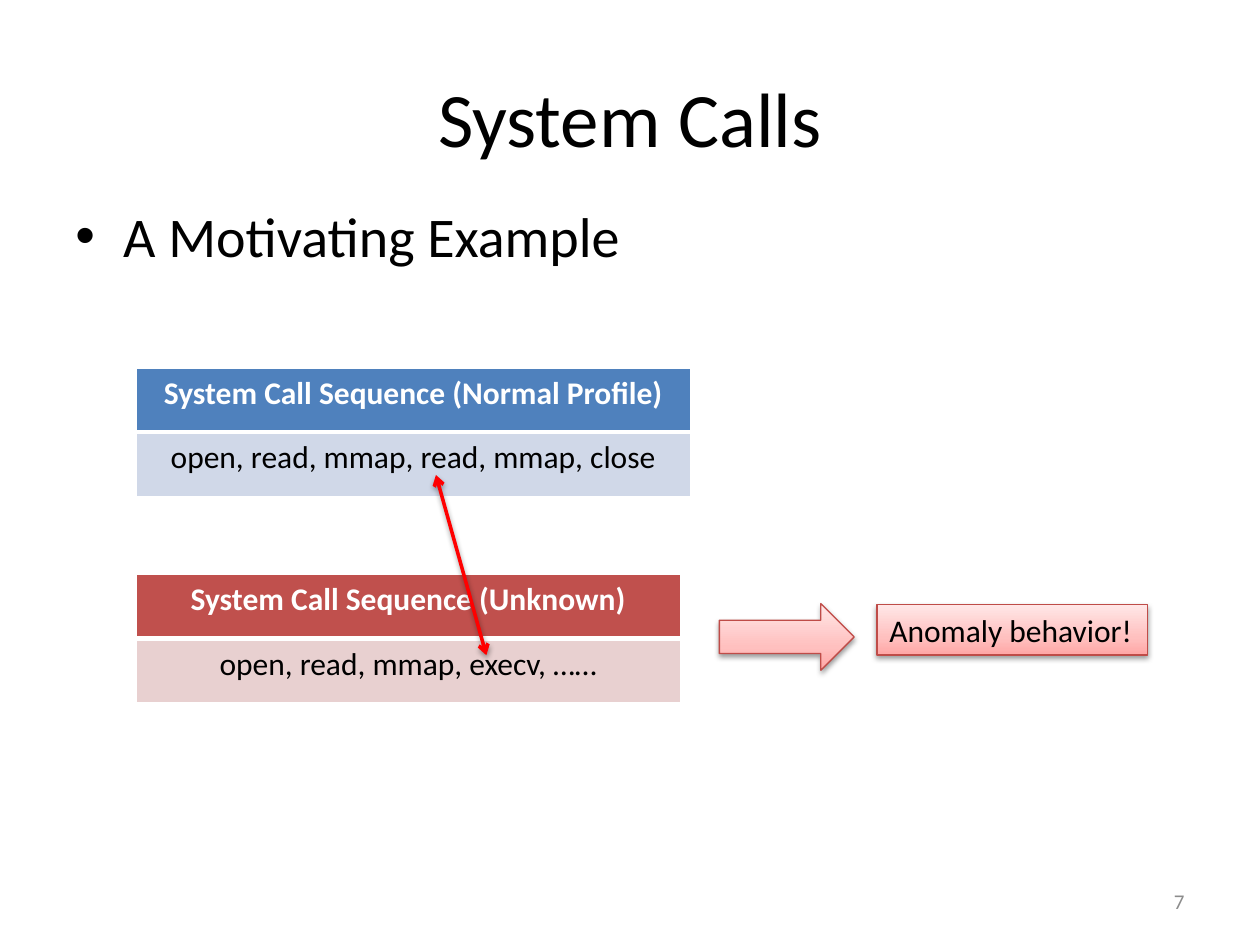
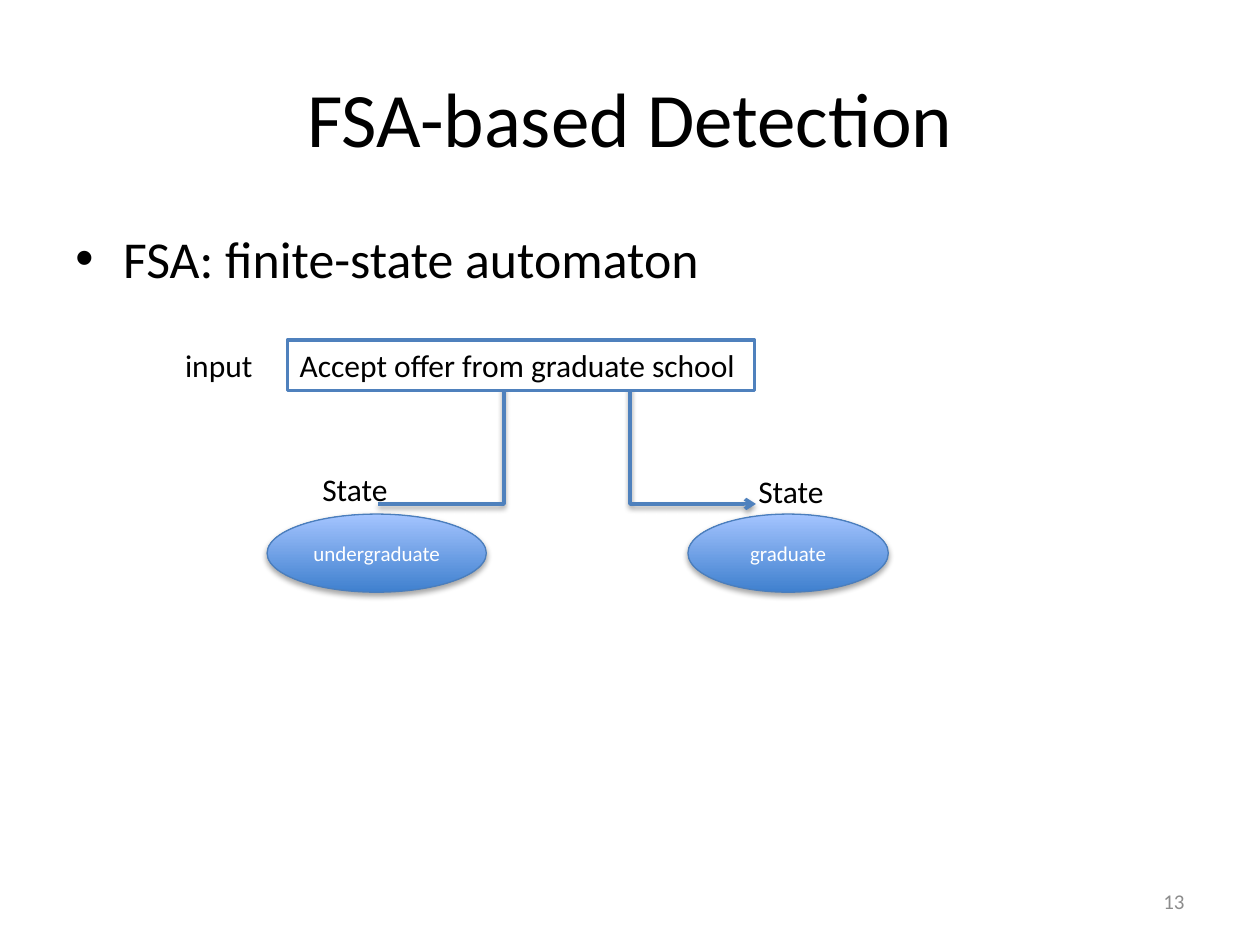
from lxml import etree
from pptx import Presentation
from pptx import util as u
from pptx.dml.color import RGBColor
from pptx.enum import shapes, text
from pptx.oxml import ns

BLACK = RGBColor(0x00, 0x00, 0x00)
WHITE = RGBColor(0xFF, 0xFF, 0xFF)
GRAY = RGBColor(0x8C, 0x8C, 0x8C)
RED = RGBColor(0xFF, 0x00, 0x00)
BLUE = RGBColor(0x4F, 0x81, 0xBD)
PALE_BLUE = RGBColor(0xD0, 0xD8, 0xE8)
BRICK = RGBColor(0xC0, 0x50, 0x4D)
PALE_BRICK = RGBColor(0xE8, 0xD0, 0xD0)
PINK_EDGE = RGBColor(0xBF, 0x4C, 0x48)
OVAL_EDGE = RGBColor(0x4B, 0x7E, 0xBC)
PINKS = [(0, "FFA6A5"), (35, "FFC0BF"), (100, "FFE7E7")]
BLUES = [(0, "3F80CE"), (100, "A4C4FF")]

FONT = "Calibri"
KIND = shapes.MSO_SHAPE
LEFT, MID, RIGHT = text.PP_ALIGN.LEFT, text.PP_ALIGN.CENTER, text.PP_ALIGN.RIGHT
TOP, CENTER = text.MSO_ANCHOR.TOP, text.MSO_ANCHOR.MIDDLE


def write(frame, words, size=18, color=BLACK, align=LEFT, anchor=TOP, fit=False):
    """Fill a text frame; a fitted frame hugs its single line."""
    frame.word_wrap = not fit
    if fit:
        frame.auto_size = text.MSO_AUTO_SIZE.SHAPE_TO_FIT_TEXT
    frame.vertical_anchor = anchor
    para = frame.paragraphs[0]
    para.text = words
    para.alignment = align
    para.font.name, para.font.size = FONT, u.Pt(size)
    para.font.color.rgb = color
    return para


def style(shape, color, width, stops=(), alpha=38, ends=()):
    """Set outline, arrowheads, upward gradient and soft shadow."""
    shape.line.color.rgb = color
    shape.line.width = u.Pt(width)
    props = shape._element.spPr
    for end in ends:
        etree.SubElement(props.find(ns.qn("a:ln")), ns.qn(end), type="arrow")
    if stops:
        shape.fill.gradient()
        shape.fill.gradient_angle = 90
        ramp = props.find(".//" + ns.qn("a:gsLst"))
        ramp.clear()
        for pos, tint in stops:
            stop = etree.SubElement(ramp, ns.qn("a:gs"), pos=str(pos * 1000))
            etree.SubElement(stop, ns.qn("a:srgbClr"), val=tint)
    effect = etree.SubElement(props, ns.qn("a:effectLst"))
    shadow = etree.SubElement(effect, ns.qn("a:outerShdw"), blurRad="40000",
                              dist="20000", dir="5400000", rotWithShape="0")
    dark = etree.SubElement(shadow, ns.qn("a:srgbClr"), val="000000")
    etree.SubElement(dark, ns.qn("a:alpha"), val=str(alpha * 1000))


deck = Presentation()
deck.slide_width, deck.slide_height = u.Inches(10), u.Inches(7.5)

# Shared parts: title, bullet and page number
pages = []
for title, point, top, high, size, number in [
    ("System Calls", "A Motivating Example", 1.55, 0.67, 32, "7"),
    ("FSA-based Detection", "FSA: finite-state automaton", 1.75, 0.56, 29.6, "13"),
]:
    page = deck.slides.add_slide(deck.slide_layouts[5])
    pages.append(page)
    head = page.shapes.title
    head.left, head.top = u.Inches(0.5), u.Inches(0.3)
    head.width, head.height = u.Inches(9), u.Inches(1.25)
    write(head.text_frame, title, 44, align=MID, anchor=CENTER)

    body = page.shapes.add_textbox(u.Inches(0.5), u.Inches(top), u.Inches(9), u.Inches(high))
    props = body.text_frame.paragraphs[0]._p.get_or_add_pPr()
    props.set("marL", str(u.Inches(0.38)))
    props.set("indent", str(u.Inches(-0.38)))
    etree.SubElement(props, ns.qn("a:buFont"), typeface="Arial")
    etree.SubElement(props, ns.qn("a:buChar"), char="•")
    write(body.text_frame, point, size)

    foot = page.shapes.add_textbox(u.Inches(7.17), u.Inches(6.95), u.Inches(2.33), u.Inches(0.4))
    write(foot.text_frame, number, 12, GRAY, RIGHT, CENTER)

calls, states = pages[0].shapes, pages[1].shapes

# Call sequences
for top, width, rows in [
    (2.92, 4.4, [("System Call Sequence (Normal Profile)", BLUE),
                 ("open, read, mmap, read, mmap, close", PALE_BLUE)]),
    (4.56, 4.32, [("System Call Sequence (Unknown)", BRICK),
                  ("open, read, mmap, execv, ……", PALE_BRICK)]),
]:
    grid = calls.add_table(2, 1, u.Inches(1.08), u.Inches(top),
                           u.Inches(width), u.Inches(1.02)).table
    for row, (words, fill) in enumerate(rows):
        cell = grid.cell(row, 0)
        para = write(cell.text_frame, words, 18, BLACK if row else WHITE, MID)
        para.font.bold = row == 0
        props = cell._tc.get_or_add_tcPr()
        for side in "LRTB":
            thick = (side, row) in [("B", 0), ("T", 1)]
            edge = etree.SubElement(props, ns.qn("a:ln" + side),
                                    w=str(u.Pt(3 if thick else 1)))
            paint = etree.SubElement(edge, ns.qn("a:solidFill"))
            etree.SubElement(paint, ns.qn("a:srgbClr"), val="FFFFFF")
        cell.fill.solid()
        cell.fill.fore_color.rgb = fill

# Mismatch and verdict
link = calls.add_connector(shapes.MSO_CONNECTOR.STRAIGHT, u.Inches(3.46), u.Inches(3.77),
                           u.Inches(3.86), u.Inches(5.2))
style(link, RED, 2, ends=("a:headEnd", "a:tailEnd"))
arrow = calls.add_shape(KIND.RIGHT_ARROW, u.Inches(5.71), u.Inches(4.79),
                        u.Inches(1.07), u.Inches(0.53))
style(arrow, PINK_EDGE, 0.75, PINKS)
alert = calls.add_shape(KIND.RECTANGLE, u.Inches(6.96), u.Inches(4.8),
                        u.Inches(2.15), u.Inches(0.4))
style(alert, PINK_EDGE, 0.75, PINKS)
write(alert.text_frame, "Anomaly behavior!", fit=True)

# States
for words, left, width in [("undergraduate", 2.12, 1.74), ("graduate", 5.46, 1.59)]:
    oval = states.add_shape(KIND.OVAL, u.Inches(left), u.Inches(4.08),
                            u.Inches(width), u.Inches(0.62))
    style(oval, OVAL_EDGE, 0.75, BLUES, 35)
    write(oval.text_frame, words, 12, WHITE, MID, CENTER)

# Transition curve, traced from two cubic segments
STEPS = 16
trace = []
for curve in [
    [(3.35, 4.22), (3.51, 3.73), (3.67, 3.24), (4.08, 3.21)],
    [(4.08, 3.21), (4.49, 3.19), (5.81, 4.08), (5.81, 4.08)],
]:
    for step in range(1, STEPS + 1):
        t = step / STEPS
        parts = ((1 - t) ** 3, 3 * t * (1 - t) ** 2, 3 * t * t * (1 - t), t ** 3)
        trace.append([sum(p * spot[axis] for p, spot in zip(parts, curve))
                      for axis in (0, 1)])
pen = states.build_freeform(3.35, 4.22, scale=u.Inches(1))
pen.add_line_segments(trace, close=False)
path = pen.convert_to_shape()
path.fill.background()
style(path, BLUE, 2, ends=("a:tailEnd",))

# Input and labels
offer = states.add_shape(KIND.RECTANGLE, u.Inches(2.28), u.Inches(2.7),
                         u.Inches(3.71), u.Inches(0.4))
offer.shadow.inherit = False
offer.fill.solid()
offer.fill.fore_color.rgb = WHITE
offer.line.color.rgb = BLUE
offer.line.width = u.Pt(2)
write(offer.text_frame, "Accept offer from graduate school", fit=True)
for words, left, top, width in [
    ("State", 2.46, 3.68, 0.73), ("State", 5.92, 3.7, 0.73), ("input", 1.37, 2.7, 0.75),
]:
    label = states.add_textbox(u.Inches(left), u.Inches(top), u.Inches(width), u.Inches(0.4))
    write(label.text_frame, words, fit=True)

deck.save("out.pptx")
